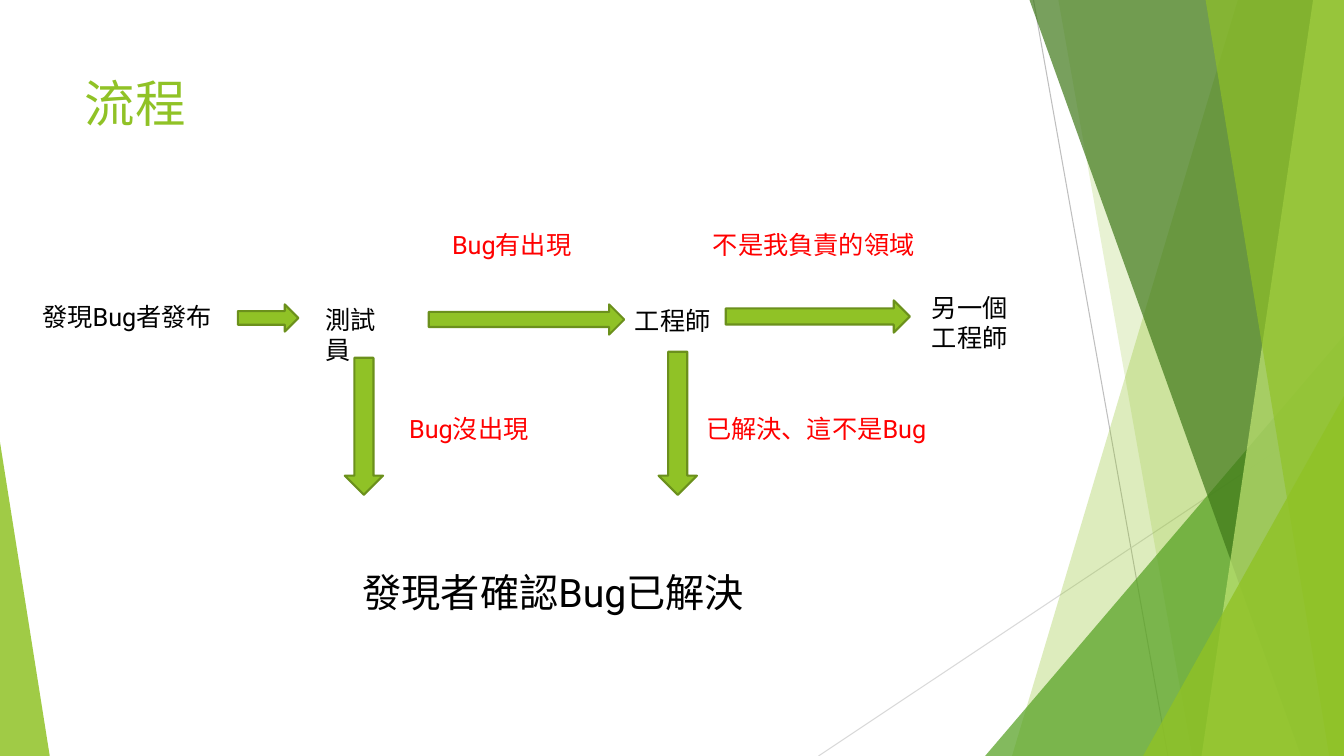
from lxml.etree import SubElement
from pptx import Presentation
from pptx.dml.color import RGBColor
from pptx.enum.shapes import MSO_CONNECTOR, MSO_SHAPE
from pptx.enum.text import MSO_ANCHOR, MSO_AUTO_SIZE, PP_ALIGN
from pptx.oxml.ns import qn
from pptx.util import Inches, Pt

COLOURS = {
    "green": "90C226", "edge": "6B901C", "leaf": "54A021", "forest": "3F7819",
    "lime": "C0E474", "grey": "BFBFBF", "pale": "D9D9D9",
    "black": "000000", "red": "FF0000",
}

deck = Presentation()
deck.slide_width, deck.slide_height = Inches(13.33), Inches(7.5)
page = deck.slides.add_slide(deck.slide_layouts[5])


def place(*shares):
    """Turn percentages, across and down by turns, into slide lengths."""
    sides = (deck.slide_width, deck.slide_height)
    return [round(sides[i % 2] * share / 100) for i, share in enumerate(shares)]


def write(frame, text, size, colour):
    formats = {"word_wrap": True, "vertical_anchor": MSO_ANCHOR.TOP}
    for name, value in formats.items():
        setattr(frame, name, value)
    para = frame.paragraphs[0]
    para.alignment = PP_ALIGN.LEFT
    span = para.add_run()
    span.text = text
    for name, value in {"name": "Roboto", "size": Pt(size), "bold": False}.items():
        setattr(span.font, name, value)
    span.font.color.rgb = RGBColor.from_string(COLOURS[colour])


# Thin background lines
for ends, colour in [((76.9, 0, 86.9, 100), "grey"), ((100, 53.7, 60.9, 100), "pale")]:
    line = page.shapes.add_connector(MSO_CONNECTOR.STRAIGHT, *place(*ends))
    line.line.width = Pt(0.75)
    line.line.color.rgb = RGBColor.from_string(COLOURS[colour])
    SubElement(line._element.spPr, qn("a:effectLst"))

# Translucent facets: bands give the top and bottom of their slanted edge,
# triangles give left, top, width and the place of the apex
facets = [
    ("band", (92.1, 75.3), "green", 30),
    ("band", (78.75, 88.7), "green", 20),
    ("triangle", (73.3, 44.4, 26.7, 1), "leaf", 72),
    ("band", (76.6, 96.8), "forest", 70),
    ("band", (97.7, 89.4), "lime", 70),
    ("band", (89.7, 98.9), "green", 65),
    ("triangle", (85.05, 52.4, 14.95, 1), "green", 80),
    ("triangle", (0, 58.5, 3.7, 0), "green", 85),
]
for kind, measures, colour, opacity in facets:
    if kind == "band":
        top, bottom = measures
        outline = page.shapes.build_freeform(*place(top, 0))
        corners = [(100, 0), (100, 100), (bottom, 100)]
        outline.add_line_segments([place(*corner) for corner in corners], close=True)
        facet = outline.convert_to_shape()
    else:
        left, top, width, apex = measures
        facet = page.shapes.add_shape(
            MSO_SHAPE.ISOSCELES_TRIANGLE, *place(left, top, width, 100 - top))
        facet.adjustments[0] = apex
    facet.shadow.inherit = False
    facet.line.fill.background()
    facet.fill.solid()
    facet.fill.fore_color.rgb = RGBColor.from_string(COLOURS[colour])
    tint = facet._element.spPr.find(qn("a:solidFill"))[0]
    SubElement(tint, qn("a:alpha"), val=str(opacity * 1000))

# Title
title = page.shapes.title
title.left, title.top, title.width, title.height = place(5.55, 8.93, 70.5, 19.2)
write(title.text_frame, "流程", 36, "green")

# Flow arrows
arrows = [
    (MSO_SHAPE.RIGHT_ARROW, (17.7, 40.27, 4.5, 3.6)),
    (MSO_SHAPE.RIGHT_ARROW, (31.9, 40.27, 14.55, 4)),
    (MSO_SHAPE.RIGHT_ARROW, (54, 39.73, 13.7, 4.27)),
    (MSO_SHAPE.DOWN_ARROW, (25.65, 47.33, 2.85, 18.13)),
    (MSO_SHAPE.DOWN_ARROW, (49, 46.53, 2.85, 18.93)),
]
for preset, area in arrows:
    arrow = page.shapes.add_shape(preset, *place(*area))
    arrow.shadow.inherit = False
    arrow.fill.solid()
    arrow.fill.fore_color.rgb = RGBColor.from_string(COLOURS["green"])
    arrow.line.color.rgb = RGBColor.from_string(COLOURS["edge"])
    arrow.line.width = Pt(1.5)

# Steps in black, conditions in red: left, top, width, height
labels = [
    ("發現Bug者發布", (2.4, 39.2, 15.45, 9.47), 18, "black"),
    ("測試員", (23.5, 39.6, 7.1, 5.33), 18, "black"),
    ("工程師", (46.5, 39.73, 7.4, 5.33), 18, "black"),
    ("另一個工程師", (68.6, 38, 7.4, 9.47), 18, "black"),
    ("發現者確認Bug已解決", (26.25, 74.53, 30.45, 7.6), 28, "black"),
    ("Bug有出現", (32.9, 29.73, 10.65, 5.33), 18, "red"),
    ("不是我負責的領域", (52.3, 29.73, 17.55, 5.33), 18, "red"),
    ("Bug沒出現", (29.7, 54, 11.25, 5.33), 18, "red"),
    ("已解決、這不是Bug", (51.8, 54, 18, 5.33), 18, "red"),
]
for text, area, size, colour in labels:
    box = page.shapes.add_textbox(*place(*area))
    write(box.text_frame, text, size, colour)
    box.text_frame.auto_size = MSO_AUTO_SIZE.SHAPE_TO_FIT_TEXT

deck.save("out.pptx")
